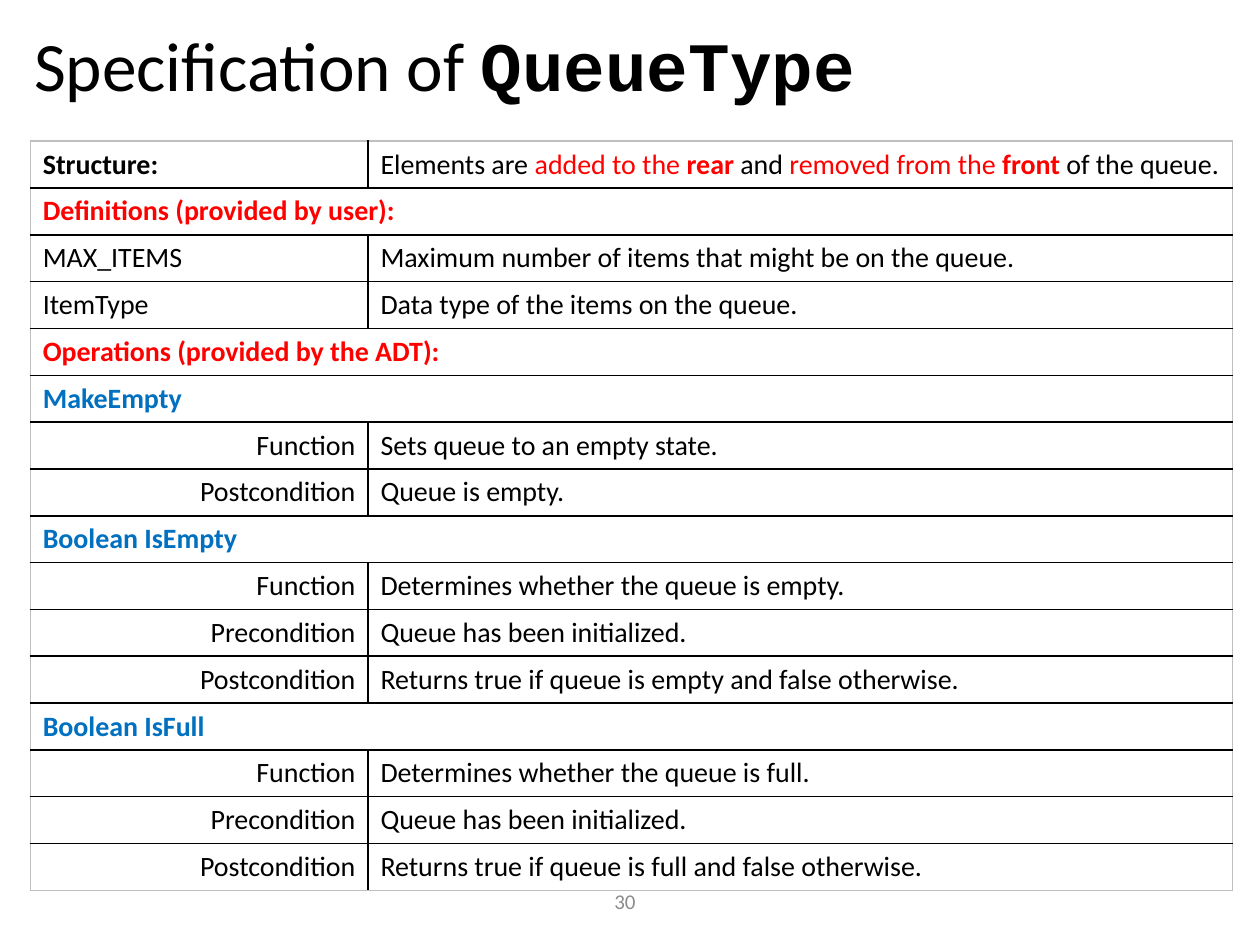
from dataclasses import dataclass

from lxml import etree
from pptx import Presentation
from pptx.dml.color import RGBColor
from pptx.enum import text
from pptx.oxml import ns
from pptx.util import Inches, Pt


@dataclass(frozen=True)
class Theme:
    body: str = "Calibri"
    code: str = "Courier New"
    black: str = "000000"
    red: str = "FF0000"
    blue: str = "0070C0"
    gray: str = "8C8C8C"
    edge: str = "BFBFBF"
    title_size: float = 39.6
    table_size: float = 16
    number_size: float = 12
    border: float = 1


T = Theme()


def section(label, color):
    return [[(label, color, True)]]


def entry(label, description):
    return [[(label, T.black, False)], [(description, T.black, False)]]


ROWS = [
    [
        [("Structure:", T.black, True)],
        [
            ("Elements are ", T.black, False),
            ("added to the ", T.red, False),
            ("rear ", T.red, True),
            ("and ", T.black, False),
            ("removed from the ", T.red, False),
            ("front ", T.red, True),
            ("of the queue.", T.black, False),
        ],
    ],
    section("Definitions (provided by user):", T.red),
    entry("MAX_ITEMS", "Maximum number of items that might be on the queue."),
    entry("ItemType", "Data type of the items on the queue."),
    section("Operations (provided by the ADT):", T.red),
    section("MakeEmpty", T.blue),
    entry("Function", "Sets queue to an empty state."),
    entry("Postcondition", "Queue is empty."),
    section("Boolean IsEmpty", T.blue),
    entry("Function", "Determines whether the queue is empty."),
    entry("Precondition", "Queue has been initialized."),
    entry("Postcondition", "Returns true if queue is empty and false otherwise."),
    section("Boolean IsFull", T.blue),
    entry("Function", "Determines whether the queue is full."),
    entry("Precondition", "Queue has been initialized."),
    entry("Postcondition", "Returns true if queue is full and false otherwise."),
]
CLAUSES = {"Function", "Precondition", "Postcondition"}


def add_run(p, words, size, color=T.black, bold=False, font=T.body):
    r = p.add_run()
    r.text = words
    r.font.name = font
    r.font.size = Pt(size)
    r.font.bold = bold
    r.font.color.rgb = RGBColor.from_string(color)


def set_borders(cell, colors):
    tc_pr = cell._tc.get_or_add_tcPr()
    for i, (side, color) in enumerate(colors.items()):
        ln = etree.Element(ns.qn(f"a:ln{side}"), w=str(Pt(T.border)))
        fill = etree.SubElement(ln, ns.qn("a:solidFill"))
        etree.SubElement(fill, ns.qn("a:srgbClr"), val=color)
        tc_pr.insert(i, ln)


def add_title(s, left, top, width, height):
    sp = s.shapes.title
    sp.left, sp.top, sp.width, sp.height = left, top, width, height
    tf = sp.text_frame
    tf.auto_size = text.MSO_AUTO_SIZE.NONE
    tf.vertical_anchor = text.MSO_ANCHOR.MIDDLE
    p = tf.paragraphs[0]
    p.alignment = text.PP_ALIGN.LEFT
    p.line_spacing = 0.9
    add_run(p, "Specification of ", T.title_size)
    add_run(p, "QueueType", T.title_size, bold=True, font=T.code)


def add_specification(s, left, top, width, height):
    last = len(ROWS) - 1
    table = s.shapes.add_table(len(ROWS), 2, left, top, width, height).table
    table.first_row = table.horz_banding = False
    table.columns[0].width = Inches(2.68)
    table.columns[1].width = width - Inches(2.68)
    for i, row in enumerate(ROWS):
        table.rows[i].height = height // len(ROWS)
        merged = len(row) == 1
        if merged:
            table.cell(i, 0).merge(table.cell(i, 1))
        for j in range(2):
            cell = table.cell(i, j)
            cell.fill.background()
            set_borders(cell, {
                "L": T.edge if j == 0 else T.black,
                "R": T.edge if j == 1 or merged else T.black,
                "T": T.edge if i == 0 else T.black,
                "B": T.edge if i == last else T.black,
            })
        for j, runs in enumerate(row):
            p = table.cell(i, j).text_frame.paragraphs[0]
            if runs[0][0] in CLAUSES:
                p.alignment = text.PP_ALIGN.RIGHT
            for words, color, bold in runs:
                add_run(p, words, T.table_size, color, bold)


def add_page_number(s, left, top, width, height):
    tf = s.shapes.add_textbox(left, top, width, height).text_frame
    tf.word_wrap = True
    tf.vertical_anchor = text.MSO_ANCHOR.MIDDLE
    p = tf.paragraphs[0]
    p.alignment = text.PP_ALIGN.CENTER
    add_run(p, "30", T.number_size, T.gray)


def main():
    prs = Presentation()
    prs.slide_width, prs.slide_height = Inches(10), Inches(7.5)
    s = prs.slides.add_slide(prs.slide_layouts[5])
    add_page_number(s, Inches(2.62), Inches(6.95), Inches(4.68), Inches(0.4))
    add_title(s, Inches(0.17), Inches(0.18), Inches(9.62), Inches(0.74))
    add_specification(s, Inches(0.24), Inches(1.12), Inches(9.54), Inches(5.95))
    prs.save("out.pptx")


if __name__ == "__main__":
    main()
